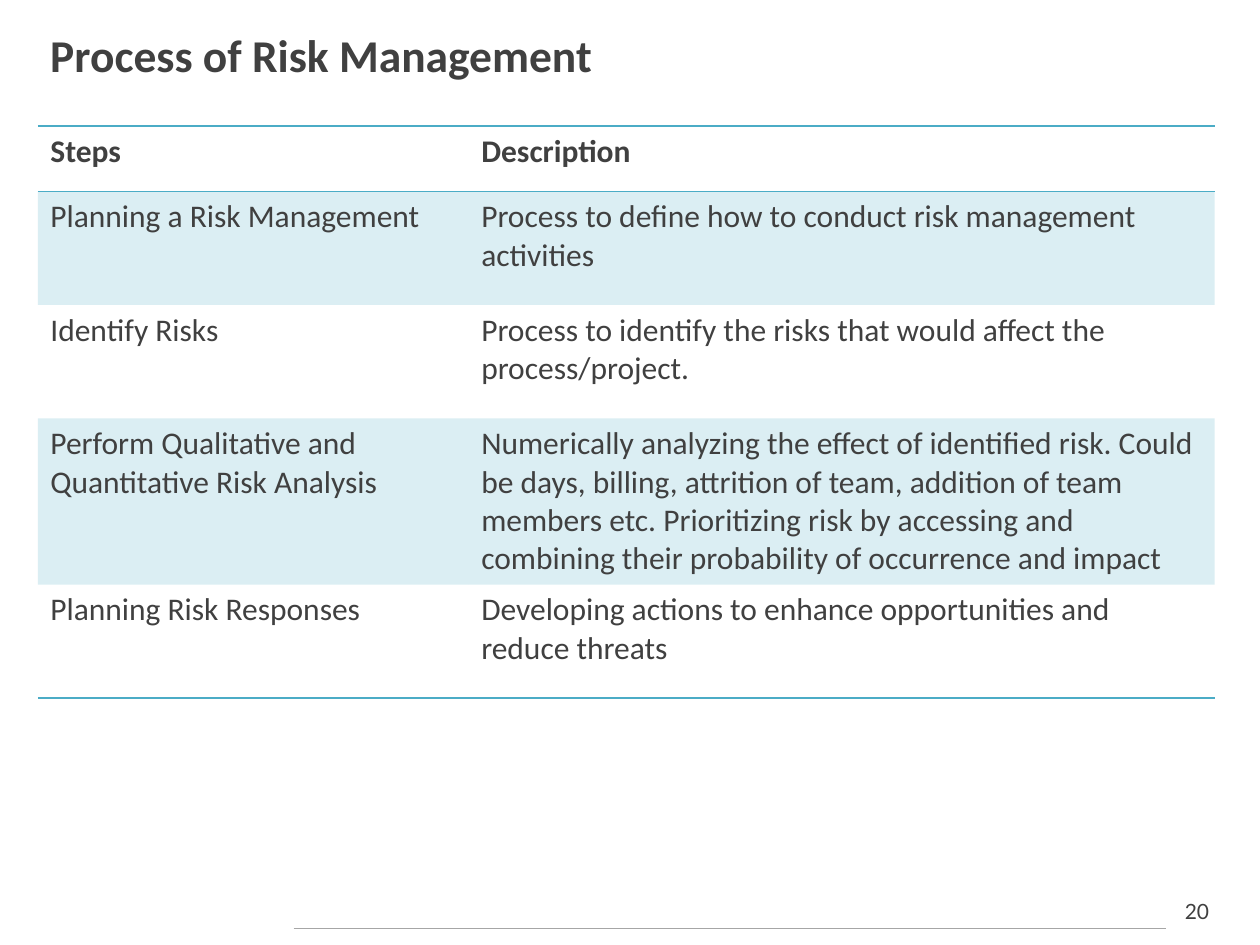
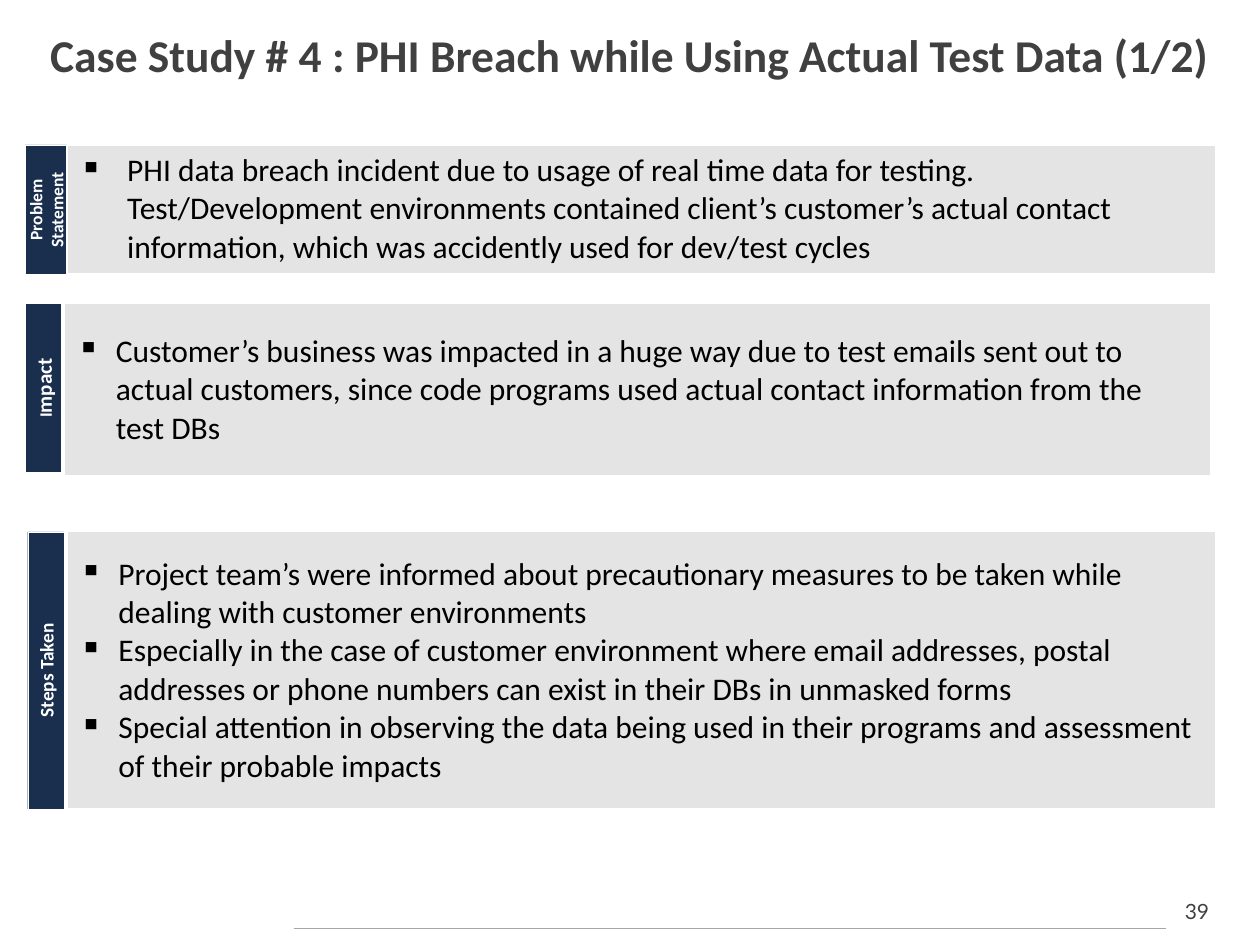
from dataclasses import dataclass

from lxml.etree import SubElement
from pptx import Presentation
from pptx.dml.color import RGBColor
from pptx.enum.shapes import MSO_CONNECTOR, MSO_SHAPE
from pptx.enum.text import MSO_ANCHOR as Anchor, PP_ALIGN as Align
from pptx.oxml.ns import qn
from pptx.util import Inches, Pt

CHARCOAL = RGBColor(0x40, 0x40, 0x40)
BLACK = RGBColor(0x00, 0x00, 0x00)
WHITE = RGBColor(0xFF, 0xFF, 0xFF)
TEAL = RGBColor(0x4B, 0xAC, 0xC6)
NAVY = RGBColor(0x1A, 0x2F, 0x4E)
PANEL_GREY = RGBColor(0xE4, 0xE4, 0xE4)
RULE_GREY = RGBColor(0xA6, 0xA6, 0xA6)

BODY_FONT = "Calibri"
NUMBER_FONT = "Lato"
NO_STYLE_NO_GRID = "{2D5ABB26-0587-4C30-8999-92F81FD0307C}"
BAND_OPACITY = 20
ALL_SIDES = "LRTB"


@dataclass(frozen=True)
class Span:
    text: str
    size: float


@dataclass(frozen=True)
class Area:
    left: float
    top: float
    width: float
    height: float

    def lengths(self) -> tuple:
        return tuple(Inches(n) for n in (self.left, self.top, self.width, self.height))


@dataclass(frozen=True)
class Panel:
    """A grey panel of bullets with a sideways label on its left."""
    area: Area
    indent: float
    bullets: list[str]
    label_area: Area
    label: list[list[Span]]


RISK_STEPS = [
    ("Steps", "Description", 0.52),
    ("Planning a Risk Management",
     "Process to define how to conduct risk management activities", 0.9),
    ("Identify Risks",
     "Process to identify the risks that would affect the process/project.", 0.9),
    ("Perform Qualitative and Quantitative Risk Analysis",
     "Numerically analyzing the effect of identified risk. Could be days, billing, "
     "attrition of team, addition of team members etc. Prioritizing risk by accessing "
     "and combining their probability of occurrence and impact", 1.32),
    ("Planning Risk Responses",
     "Developing actions to enhance opportunities and reduce threats", 0.9),
]

CASE_PANELS = [
    Panel(Area(0.53, 1.15, 9.12, 1.02), 0.38,
          ["PHI data breach incident due to usage of real time data for testing. "
           "Test/Development environments contained client’s customer’s actual contact "
           "information, which was accidently used for dev/test cycles"],
          Area(0.2, 1.15, 0.33, 1.03), [[Span("Problem", 10)], [Span("Statement", 10)]]),
    Panel(Area(0.51, 2.41, 9.1, 1.37), 0.31,
          ["Customer’s business was impacted in a huge way due to test emails sent out to "
           "actual customers, since code programs used actual contact information from "
           "the test DBs"],
          Area(0.2, 2.41, 0.29, 1.34), [[Span("I", 10), Span("mpact", 12)]]),
    Panel(Area(0.53, 4.22, 9.12, 2.2), 0.31,
          ["Project team’s were informed about precautionary measures to be taken while "
           "dealing with customer environments",
           "Especially in the case of customer environment where email addresses, postal "
           "addresses or phone numbers can exist in their DBs in unmasked forms",
           "Special attention in observing the data being used in their programs and "
           "assessment of their probable impacts"],
          Area(0.22, 4.22, 0.29, 2.2), [[Span("Steps Taken", 11)]]),
]


def write(frame, paragraphs: list[list[Span]], *, color: RGBColor, font: str = BODY_FONT,
          bold: bool = False, align=Align.LEFT, bullet_indent: float = 0) -> None:
    for index, spans in enumerate(paragraphs):
        para = frame.paragraphs[0] if index == 0 else frame.add_paragraph()
        para.alignment = align
        if bullet_indent:
            add_bullet(para, bullet_indent)
        for span in spans:
            run = para.add_run()
            run.text = span.text
            run.font.name = font
            run.font.size = Pt(span.size)
            run.font.bold = bold
            run.font.color.rgb = color


def add_bullet(para, indent: float) -> None:
    properties = para._p.get_or_add_pPr()
    properties.set("marL", str(Inches(indent)))
    properties.set("indent", str(-Inches(indent)))
    SubElement(properties, qn("a:buChar"), char="▪")


def add_text_box(slide, area: Area, span: Span, *, anchor=Anchor.TOP, **text_format) -> None:
    frame = slide.shapes.add_textbox(*area.lengths()).text_frame
    frame.word_wrap = True
    frame.vertical_anchor = anchor
    write(frame, [[span]], color=CHARCOAL, **text_format)


def add_page(deck, title: str, number: int, title_width: float):
    """Add a blank slide with the shared title, page number and footer rule."""
    slide = deck.slides.add_slide(deck.slide_layouts[6])
    add_text_box(slide, Area(9.25, 7.08, 0.5, 0.3), Span(str(number), 12),
                 font=NUMBER_FONT, align=Align.CENTER)
    rule = slide.shapes.add_connector(MSO_CONNECTOR.STRAIGHT, Inches(2.33), Inches(7.37),
                                      Inches(9.25), Inches(7.37))
    rule.line.color.rgb = RULE_GREY
    rule.line.width = Pt(0.75)
    SubElement(rule._element.spPr, qn("a:effectLst"))
    add_text_box(slide, Area(0.3, 0.12, title_width, 0.63), Span(title, 26),
                 anchor=Anchor.MIDDLE, bold=True)
    return slide


def add_plain_table(slide, area: Area, rows: int, columns: int):
    frame = slide.shapes.add_table(rows, columns, *area.lengths())
    table = frame.table
    table.first_row = table.horz_banding = False
    next(frame._element.iter(qn("a:tableStyleId"))).text = NO_STYLE_NO_GRID
    return table


def format_cell(cell, *, borders: str = "", border_color: RGBColor = TEAL,
                fill: RGBColor | None = None, opacity: int = 100) -> None:
    """Draw 1 pt borders on the given sides (L, R, T, B, in that order) and fill the cell."""
    properties = cell._tc.get_or_add_tcPr()
    for side in borders:
        line = SubElement(properties, qn(f"a:ln{side}"), w=str(Pt(1)))
        SubElement(SubElement(line, qn("a:solidFill")), qn("a:srgbClr"), val=str(border_color))
    if fill is None:
        cell.fill.background()
        return
    cell.fill.solid()
    cell.fill.fore_color.rgb = fill
    if opacity < 100:
        shade = properties.find(qn("a:solidFill"))[0]
        SubElement(shade, qn("a:alpha"), val=str(opacity * 1000))


def add_risk_table(slide) -> None:
    heights = [height for *_, height in RISK_STEPS]
    table = add_plain_table(slide, Area(0.3, 1, 9.34, sum(heights)), len(RISK_STEPS), 2)
    for column, width in zip(table.columns, (3.42, 5.92)):
        column.width = Inches(width)
    last = len(RISK_STEPS) - 1
    for row, (*texts, height) in enumerate(RISK_STEPS):
        table.rows[row].height = Inches(height)
        borders = {0: "TB", last: "B"}.get(row, "")
        for column, text in enumerate(texts):
            cell = table.cell(row, column)
            format_cell(cell, borders=borders, fill=TEAL if row % 2 else None,
                        opacity=BAND_OPACITY)
            write(cell.text_frame, [[Span(text, 18)]], color=CHARCOAL, bold=row == 0)


def add_panel(slide, panel: Panel) -> None:
    cell = add_plain_table(slide, panel.area, 1, 1).cell(0, 0)
    format_cell(cell, borders=ALL_SIDES, border_color=WHITE, fill=PANEL_GREY)
    cell.vertical_anchor = Anchor.MIDDLE
    write(cell.text_frame, [[Span(text, 18)] for text in panel.bullets],
          color=BLACK, bullet_indent=panel.indent)


def add_sideways_label(slide, panel: Panel) -> None:
    """Draw the label lying down around the centre of its area, then turn it upright."""
    area = panel.label_area
    shift = (area.height - area.width) / 2
    lying = Area(area.left - shift, area.top + shift, area.height, area.width)
    label = slide.shapes.add_shape(MSO_SHAPE.RECTANGLE, *lying.lengths())
    label.rotation = 270
    label.shadow.inherit = False
    label.fill.solid()
    label.fill.fore_color.rgb = NAVY
    label.line.color.rgb = WHITE
    label.line.width = Pt(0.25)
    label.text_frame.word_wrap = True
    label.text_frame.vertical_anchor = Anchor.MIDDLE
    write(label.text_frame, panel.label, color=WHITE, bold=True, align=Align.CENTER)


def main() -> None:
    deck = Presentation()
    deck.slide_width, deck.slide_height = Inches(10), Inches(7.5)

    add_risk_table(add_page(deck, "Process of Risk Management", 20, 9.36))

    case_page = add_page(
        deck, "Case Study # 4 : PHI Breach while Using Actual Test Data (1/2)", 39, 9.7)
    for panel in CASE_PANELS:
        add_panel(case_page, panel)
    for panel in CASE_PANELS:
        add_sideways_label(case_page, panel)

    deck.save("out.pptx")


if __name__ == "__main__":
    main()
